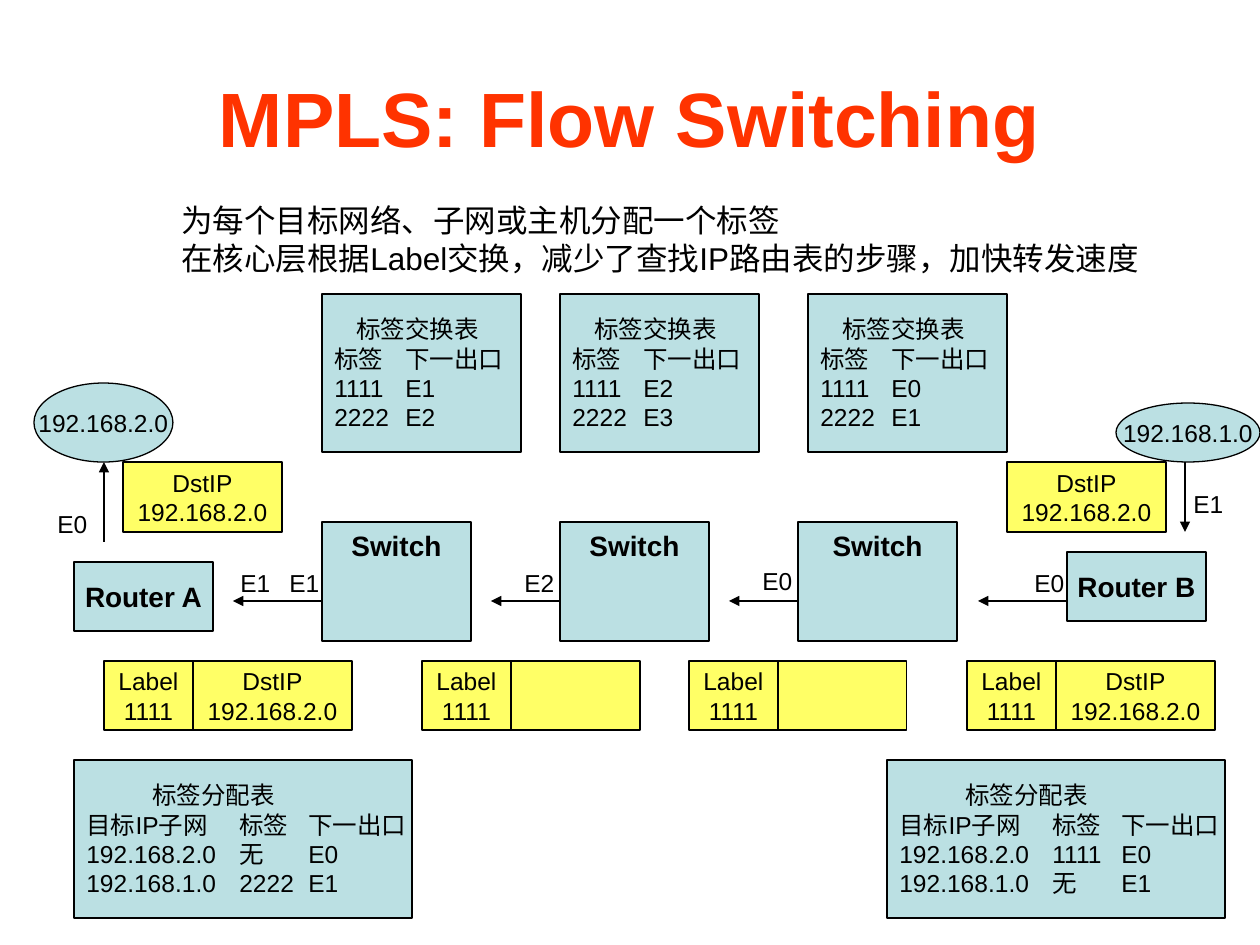
"""Build the MPLS flow switching slide."""
from lxml import etree
from pptx import Presentation
from pptx.dml.color import RGBColor
from pptx.enum.shapes import MSO_CONNECTOR, MSO_SHAPE
from pptx.enum.text import MSO_ANCHOR, PP_ALIGN
from pptx.oxml.ns import qn
from pptx.util import Pt

RECT, OVAL = MSO_SHAPE.RECTANGLE, MSO_SHAPE.OVAL
STRAIGHT = MSO_CONNECTOR.STRAIGHT
TOP, MIDDLE = MSO_ANCHOR.TOP, MSO_ANCHOR.MIDDLE
LEFT, CENTER = PP_ALIGN.LEFT, PP_ALIGN.CENTER
COLORS = {"title": "FF3300", "ink": "000000", "device": "BBE0E3", "packet": "FFFF66"}
EMU_PER_PX = 914400 / 126

TITLE = ["MPLS: Flow Switching"]
INTRO = ["为每个目标网络、子网或主机分配一个标签",
         "在核心层根据Label交换，减少了查找IP路由表的步骤，加快转发速度"]
DESTINATION = ["DstIP", "192.168.2.0"]
LABEL = ["Label", "1111"]

SWITCHES = [(322, 149), (560, 149), (798, 159)]
ROUTERS = [("Router A", 74, 562), ("Router B", 1067, 552)]
NETWORKS = [("192.168.2.0", (34, 383, 139, 79)), ("192.168.1.0", (1116, 403, 144, 59))]
ARROWS = [(104, 542, 104, 462), (322, 601, 233, 601), (560, 601, 491, 601),
          (798, 601, 729, 601), (1067, 601, 978, 601), (1185, 462, 1185, 532)]
PORTS = [("E0", 45, 503), ("E1", 228, 562), ("E1", 277, 562), ("E2", 512, 562),
         ("E0", 750, 560), ("E0", 1022, 562), ("E1", 1181, 483)]
IP_PACKETS = [(123, 462), (1007, 462)]
LABELED_PACKETS = [(104, 159, DESTINATION), (422, 129, []),
                   (689, 129, []), (967, 159, DESTINATION)]

SWITCHING = {"title": "标签交换表", "indent": 22, "stops": [71],
             "header": ["标签", "下一出口"], "y": 294, "width": 199}
ASSIGNMENT = {"title": "标签分配表", "indent": 66, "stops": [153, 222],
              "header": ["目标IP子网", "标签", "下一出口"], "y": 760, "width": 338}
TABLES = [
    (SWITCHING, 322, [["1111", "E1"], ["2222", "E2"]]),
    (SWITCHING, 560, [["1111", "E2"], ["2222", "E3"]]),
    (SWITCHING, 808, [["1111", "E0"], ["2222", "E1"]]),
    (ASSIGNMENT, 74, [["192.168.2.0", "无", "E0"], ["192.168.1.0", "2222", "E1"]]),
    (ASSIGNMENT, 887, [["192.168.2.0", "1111", "E0"], ["192.168.1.0", "无", "E1"]]),
]


def px(value):
    return round(value * EMU_PER_PX)


def color(name):
    return RGBColor.from_string(COLORS[name])


def write(shape, lines, size=14, bold=False, ink="ink", align=CENTER, anchor=MIDDLE, wrap=False):
    frame = shape.text_frame
    frame.word_wrap, frame.vertical_anchor = wrap, anchor
    font_format = {"size": Pt(size), "bold": bold, "name": "Arial"}
    for index, line in enumerate(lines):
        paragraph = frame.add_paragraph() if index else frame.paragraphs[0]
        paragraph.alignment = align
        run = paragraph.add_run()
        run.text = line
        for attribute, value in font_format.items():
            setattr(run.font, attribute, value)
        run.font.color.rgb = color(ink)


def add_text(shapes, box, lines, **text_format):
    write(shapes.add_textbox(*map(px, box)), lines, **text_format)


def add_block(shapes, box, lines, fill="device", kind=RECT, **text_format):
    block = shapes.add_shape(kind, *map(px, box))
    block.shadow.inherit = False
    block.fill.solid()
    block.fill.fore_color.rgb = color(fill)
    block.line.color.rgb = color("ink")
    block.line.width = Pt(0.75)
    write(block, lines, **text_format)
    return block


def add_arrow(shapes, ends):
    arrow = shapes.add_connector(STRAIGHT, *map(px, ends))
    arrow.line.color.rgb = color("ink")
    arrow.line.width = Pt(0.75)
    etree.SubElement(arrow.line._get_or_add_ln(), qn("a:tailEnd"), type="triangle")
    etree.SubElement(arrow._element.spPr, qn("a:effectLst"))


def add_label_table(shapes, layout, x, rows):
    lines = [layout["title"]] + ["\t".join(row) for row in [layout["header"]] + rows]
    block = add_block(shapes, (x, layout["y"], layout["width"], 158), lines,
                      align=LEFT, wrap=True)
    block.text_frame.margin_right = 0
    title, *entries = block.text_frame.paragraphs
    title._p.get_or_add_pPr().set("marL", str(px(layout["indent"])))
    for entry in entries:
        tabs = etree.SubElement(entry._p.get_or_add_pPr(), qn("a:tabLst"))
        for stop in layout["stops"]:
            etree.SubElement(tabs, qn("a:tab"), pos=str(px(stop)), algn="l")


def main():
    deck = Presentation()
    deck.slide_width, deck.slide_height = px(1260), px(945)
    shapes = deck.slides.add_slide(deck.slide_layouts[6]).shapes

    add_text(shapes, (63, 38, 1134, 157), TITLE, size=44, bold=True, ink="title", wrap=True)
    add_text(shapes, (169, 195, 1013, 88), INTRO, size=18, align=LEFT, anchor=TOP)
    for x, width in SWITCHES:
        add_block(shapes, (x, 522, width, 119), ["Switch"], size=16, bold=True, anchor=TOP)
    for router, x, y in ROUTERS:
        add_block(shapes, (x, y, 139, 69), [router], size=16, bold=True)
    for ends in ARROWS:
        add_arrow(shapes, ends)
    for network, box in NETWORKS:
        add_block(shapes, box, [network], kind=OVAL)
    for x, y in IP_PACKETS:
        add_block(shapes, (x, y, 159, 70), DESTINATION, fill="packet")
    for x, width, content in LABELED_PACKETS:
        packet = shapes.add_group_shape().shapes
        add_block(packet, (x + 89, 661, width, 69), content, fill="packet")
        add_block(packet, (x, 661, 89, 69), LABEL, fill="packet")
    for table in TABLES:
        add_label_table(shapes, *table)
    for port, x, y in PORTS:
        add_text(shapes, (x, y, 55, 43), [port], align=LEFT, anchor=TOP)

    deck.save("out.pptx")


if __name__ == "__main__":
    main()
